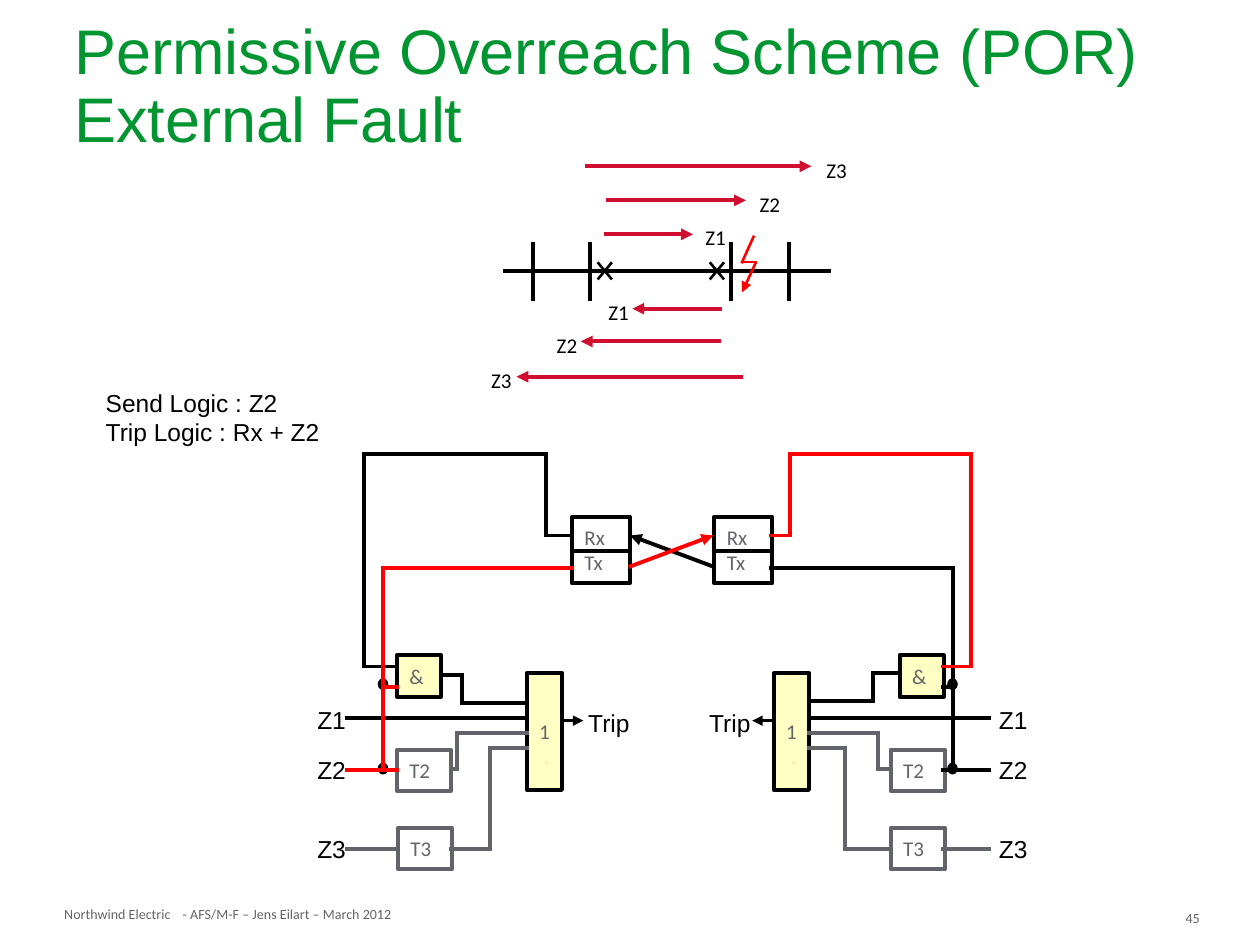
from itertools import pairwise
from pptx import Presentation
from pptx.dml.color import RGBColor
from pptx.enum.shapes import MSO_CONNECTOR, MSO_SHAPE
from pptx.enum.text import MSO_ANCHOR, MSO_AUTO_SIZE, PP_ALIGN
from pptx.oxml.ns import qn
from pptx.util import Inches, Pt
from lxml import etree

STRAIGHT = MSO_CONNECTOR.STRAIGHT
RECT, OVAL = MSO_SHAPE.RECTANGLE, MSO_SHAPE.OVAL
TOP, MIDDLE = MSO_ANCHOR.TOP, MSO_ANCHOR.MIDDLE
FIT, LEFT = MSO_AUTO_SIZE.SHAPE_TO_FIT_TEXT, PP_ALIGN.LEFT
BLACK, GREY, RED = "000000", "626469", "FF0000"
CRIMSON, GREEN, CREAM, LIME = "CF0E30", "009530", "FFFFC3", "E9F494"

TITLE = "Permissive Overreach Scheme (POR) \vExternal Fault"
LOGIC = "Send Logic : Z2\nTrip Logic : Rx + Z2"
FOOTER = [("Northwind Electric", 0.51, 7.19, 0.88),
          ("- AFS/M-F – Jens Eilart – March 2012", 1.45, 7.19, 1.75),
          ("45", 9.41, 7.22, 0.32)]

# Zone reaches: name, label left, label top, arrow start, arrow end, arrow y
ZONES = [("Z3", 6.46, 1.20, 4.64, 6.44, 1.32),
         ("Z2", 5.93, 1.47, 4.81, 5.92, 1.59),
         ("Z1", 5.50, 1.73, 4.79, 5.50, 1.86),
         ("Z1", 4.73, 2.33, 5.73, 5.02, 2.45),
         ("Z2", 4.32, 2.59, 5.72, 4.61, 2.71),
         ("Z3", 3.80, 2.87, 5.90, 4.10, 2.99)]
POWER_LINE_Y = 2.15
BUSBARS = [4.23, 4.68, 5.80, 6.26]
BREAKERS = [4.80, 5.69]

# The columns of each relay; both relays share the same rows
RELAYS = [
    dict(label=2.42, source=2.75, outer=2.89, bus=3.04, entry=3.15,
         and_box=3.15, t2_box=3.15, t3_box=3.16, and_out=3.50, timer_out=3.58,
         and_riser=3.67, t2_riser=3.63, t3_riser=3.89, gate=4.18, gate_in=4.18,
         trip_from=4.47, trip_to=4.63, trip=4.57, loop=4.33, radio=4.54,
         radio_out=4.54, and_rows=(5.36, 5.58), rx=BLACK, tx=RED),
    dict(label=7.83, source=7.85, outer=7.71, bus=7.56, entry=7.48,
         and_box=7.14, t2_box=7.07, t3_box=7.07, and_out=7.14, timer_out=7.07,
         and_riser=6.93, t2_riser=6.97, t3_riser=6.71, gate=6.14, gate_in=6.42,
         trip_from=6.14, trip_to=5.97, trip=5.53, loop=6.27, radio=5.67,
         radio_out=6.12, and_rows=(5.34, 5.56), rx=RED, tx=BLACK),
]
LABEL_ROWS = [("Z1", 5.55), ("Z2", 5.94), ("Z3", 6.57)]
Z1_ROW, Z2_ROW, Z3_ROW = 5.70, 6.11, 6.74
RX_ROW, TX_ROW = 4.25, 4.51

prs = Presentation()
prs.slide_width, prs.slide_height = Inches(10), Inches(7.5)
s = prs.slides.add_slide(prs.slide_layouts[6])


def color(value):
    return RGBColor.from_string(value)


def write(sp, text, size=12, font="Calibri", ink=GREY, wrap=False, anchor=TOP,
          inset=None, spacing=None, tail=None):
    """Fill a shape with text; tail is an optional (text, colour) last run."""
    tf = sp.text_frame
    tf.word_wrap, tf.vertical_anchor = wrap, anchor
    if not wrap:
        tf.auto_size = FIT
    if inset is not None:
        tf.margin_left = tf.margin_right = Inches(inset)
        tf.margin_top = tf.margin_bottom = Inches(inset)
    tf.text = text
    for p in tf.paragraphs:
        p.alignment = LEFT
        if spacing:
            p.line_spacing = spacing
        if tail:
            p.add_run().text = tail[0]
        for r in p.runs:
            r.font.size, r.font.name = Pt(size), font
            r.font.color.rgb = color(ink)
        if tail:
            p.runs[-1].font.color.rgb = color(tail[1])


def label(text, x, y, w, h, **fmt):
    write(s.shapes.add_textbox(Inches(x), Inches(y), Inches(w), Inches(h)), text, **fmt)


def box(x, y, w, h, text="", kind=RECT, fill=None, line=BLACK, width=2.25, tail=None):
    sp = s.shapes.add_shape(kind, Inches(x), Inches(y), Inches(w), Inches(h))
    sp.shadow.inherit = False
    if fill:
        sp.fill.solid()
        sp.fill.fore_color.rgb = color(fill)
    else:
        sp.fill.background()
    sp.line.color.rgb, sp.line.width = color(line), Pt(width)
    if text:
        write(sp, text, wrap=True, anchor=MIDDLE, tail=tail)


def wire(*points, ink=BLACK, width=2.25, arrow=False):
    """Join points with straight lines, with an optional arrowhead on each end point."""
    for (x1, y1), (x2, y2) in pairwise(points):
        c = s.shapes.add_connector(STRAIGHT, Inches(x1), Inches(y1), Inches(x2), Inches(y2))
        c.line.color.rgb, c.line.width = color(ink), Pt(width)
        ln = c.line._get_or_add_ln()
        if arrow:
            etree.SubElement(ln, qn("a:tailEnd"), type="triangle")
        else:
            ln.set("cap", "sq")
        etree.SubElement(c._element.spPr, qn("a:effectLst"))


def relay(k):
    for name, y in LABEL_ROWS:
        label(name, k["label"], y, 0.43, 0.34, size=14, font="Arial", ink=BLACK)
    label("Trip", k["trip"], 5.57, 0.53, 0.34, size=14, font="Arial", ink=BLACK)
    box(k["gate"], 5.34, 0.28, 0.93, " 1 ", fill=CREAM, tail=(".", LIME))
    box(k["and_box"], 5.20, 0.35, 0.33, "&", fill=CREAM)
    box(k["t2_box"], 5.95, 0.43, 0.33, "T2", line=GREY)
    box(k["t3_box"], 6.57, 0.43, 0.33, "T3", line=GREY)
    box(k["radio"], 4.10, 0.46, 0.53, "Rx Tx")
    wire((k["radio"], 4.37), (k["radio"] + 0.46, 4.37))
    for y in (5.39, 6.06):
        box(k["bus"] - 0.035, y, 0.07, 0.08, kind=OVAL, fill=BLACK, width=1)

    wire((k["source"], Z3_ROW), (k["entry"], Z3_ROW), ink=GREY)
    for riser, start, end in (("t2_riser", 6.10, 5.82), ("t3_riser", Z3_ROW, 5.94)):
        wire((k["timer_out"], start), (k[riser], start), (k[riser], end),
             (k["gate_in"], end), ink=GREY)
    wire((k["source"], Z1_ROW), (k["gate_in"], Z1_ROW))
    high, low = k["and_rows"]
    wire((k["and_out"], high), (k["and_riser"], high), (k["and_riser"], low),
         (k["gate_in"], low))
    wire((k["trip_from"], 5.72), (k["trip_to"], 5.72), width=1.5, arrow=True)


def signal_paths(k):
    """Receive loop and send bus of a relay, as (colour, points)."""
    return [
        (k["rx"], [(k["entry"], 5.29), (k["outer"], 5.29), (k["outer"], 3.60),
                   (k["loop"], 3.60), (k["loop"], RX_ROW), (k["radio_out"], RX_ROW)]),
        (k["tx"], [(k["source"], Z2_ROW), (k["entry"], Z2_ROW)]),
        (k["tx"], [(k["bus"], Z2_ROW), (k["bus"], TX_ROW), (k["radio_out"], TX_ROW)]),
        (k["tx"], [(k["bus"], 5.45), (k["entry"], 5.45)]),
    ]


label(TITLE, 0.49, 0.24, 9.06, 0.92, size=36, font="Arial", ink=GREEN,
      wrap=True, anchor=MIDDLE, spacing=0.9)
label(LOGIC, 0.74, 3.03, 1.91, 0.57, size=14, font="Arial", ink=BLACK)
for text, x, y, w in FOOTER:
    label(text, x, y, w, 0.13, size=8, inset=0)

for k in RELAYS:
    relay(k)
paths = [path for k in RELAYS for path in signal_paths(k)]
for ink, points in sorted(paths, key=lambda path: path[0] == RED):
    wire(*points, ink=ink)
wire((5.67, 4.50), (5.00, RX_ROW), arrow=True)
wire((4.99, 4.50), (5.66, RX_ROW), ink=RED, arrow=True)

wire((4.01, POWER_LINE_Y), (6.58, POWER_LINE_Y))
for x in BUSBARS:
    wire((x, 1.94), (x, 2.37))
for x in BREAKERS:
    for dx in (-0.05, 0.05):
        wire((x - dx, POWER_LINE_Y - 0.06), (x + dx, POWER_LINE_Y + 0.06), width=1.5)
for name, x, y, start, end, row in ZONES:
    wire((start, row), (end, row), ink=CRIMSON, arrow=True)
    label(name, x, y, 0.40, 0.30, ink=BLACK)
wire((5.98, 1.88), (5.89, 2.08), (6.00, 2.08), ink=RED, width=1.5)
wire((6.00, 2.08), (5.89, 2.32), ink=RED, width=1.5, arrow=True)

prs.save("out.pptx")
